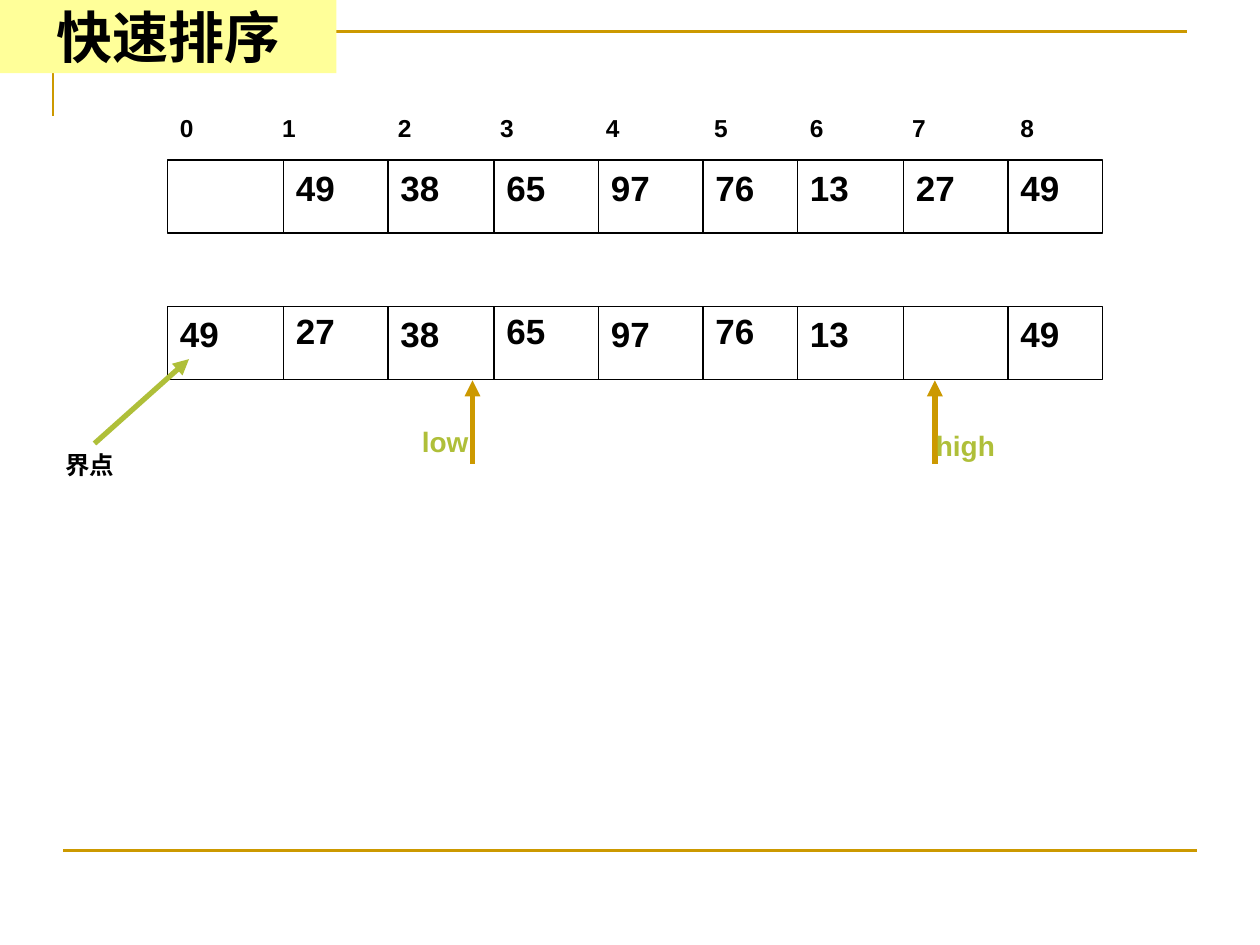
"""Build the quicksort slide with two array states and their pointers."""
from dataclasses import dataclass

from lxml.etree import SubElement
from pptx import Presentation
from pptx.dml.color import RGBColor
from pptx.enum.shapes import MSO_CONNECTOR as Link, MSO_SHAPE as Shape
from pptx.enum.text import MSO_ANCHOR as Anchor, MSO_AUTO_SIZE as Fit, PP_ALIGN as Align
from pptx.oxml.ns import qn
from pptx.util import Inches, Pt

BLACK = RGBColor(0x00, 0x00, 0x00)
WHITE = RGBColor(0xFF, 0xFF, 0xFF)
GOLD = RGBColor(0xCC, 0x99, 0x00)
GREEN = RGBColor(0xAF, 0xBF, 0x39)
CREAM = RGBColor(0xFF, 0xFF, 0x99)

EDGES = [1.33, 2.25, 3.08, 3.92, 4.75, 5.58, 6.33, 7.17, 8]
WIDTH, HEIGHT = 7.42, 0.58
STOPS = [0.81, 1.73, 2.54, 3.38, 4.24, 5, 5.81, 6.67]


@dataclass
class Row:
    top: float
    cells: list[str]
    raised: tuple[int, ...] = ()


@dataclass
class Mark:
    name: str
    x: float
    left: float
    top: float


ROWS = [
    Row(2.43, ["49", "27", "38", "65", "97", "76", "13", "", "49"], (1, 3, 5)),
    Row(1.27, ["", "49", "38", "65", "97", "76", "13", "27", "49"]),
]
MARKS = [Mark("high", 7.42, 7.33, 3.35), Mark("low", 3.75, 3.25, 3.32)]


def add_line(shapes, start: tuple, end: tuple, color: RGBColor,
             width: float, arrow: bool = False) -> None:
    ends = [Inches(n) for n in (*start, *end)]
    link = shapes.add_connector(Link.STRAIGHT, *ends)
    link.line.color.rgb = color
    link.line.width = Pt(width)
    if arrow:
        SubElement(link.line._ln, qn("a:tailEnd"), type="triangle")
    SubElement(link._element.spPr, qn("a:effectLst"))


def add_text(shapes, text: str, left: float, top: float, width: float,
             height: float, size: int, color: RGBColor = BLACK,
             stops: tuple | list = ()) -> None:
    box = shapes.add_textbox(*[Inches(n) for n in (left, top, width, height)])
    frame = box.text_frame
    frame.word_wrap = True
    para = frame.paragraphs[0]
    para.text = text
    if stops:
        tabs = SubElement(para._p.get_or_add_pPr(), qn("a:tabLst"))
        for stop in stops:
            SubElement(tabs, qn("a:tab"), pos=str(Inches(stop)), algn="l")
    set_font(para, "Arial", size, color)


def set_font(para, name: str, size: int, color: RGBColor) -> None:
    font = para.font
    font.name, font.size, font.bold = name, Pt(size), True
    font.color.rgb = color


def add_row(shapes, row: Row) -> None:
    group = shapes.add_group_shape().shapes
    area = [Inches(n) for n in (EDGES[0], row.top, WIDTH, HEIGHT)]
    frame = group.add_shape(Shape.RECTANGLE, *area)
    frame.shadow.inherit = False
    frame.fill.solid()
    frame.fill.fore_color.rgb = WHITE
    frame.line.color.rgb = BLACK
    frame.line.width = Pt(0.75)
    for x in EDGES[1:]:
        add_line(group, (x, row.top), (x, row.top + HEIGHT), BLACK, 0.75)


def add_cells(shapes, row: Row) -> None:
    for i, (x, text) in enumerate(zip(EDGES, row.cells)):
        if text:
            top = row.top - (0.02 if i in row.raised else 0)
            add_text(shapes, text, x, top, 0.67, 0.44, 20)


def add_mark(shapes, mark: Mark) -> None:
    group = shapes.add_group_shape().shapes
    add_line(group, (mark.x, 3.68), (mark.x, 3.02), GOLD, 3, True)
    add_text(group, mark.name, mark.left, mark.top, 0.92, 0.37, 16, GREEN)


def add_frame(shapes) -> None:
    pen = shapes.build_freeform(Inches(0.42), Inches(0.92))
    points = [(Inches(0.42), Inches(0.25)), (Inches(9.42), Inches(0.25))]
    pen.add_line_segments(points, close=False)
    corner = pen.convert_to_shape()
    corner.shadow.inherit = False
    corner.fill.background()
    corner.line.color.rgb = GOLD
    corner.line.width = Pt(1.5)
    add_line(shapes, (0.5, 6.75), (9.5, 6.75), GOLD, 1.5)


def set_title(shapes, text: str) -> None:
    title = shapes.title
    title.left, title.top = Inches(0), Inches(0)
    title.width, title.height = Inches(2.67), Inches(HEIGHT)
    title.fill.solid()
    title.fill.fore_color.rgb = CREAM
    frame = title.text_frame
    frame.text = text
    frame.auto_size = Fit.NONE
    frame.vertical_anchor = Anchor.MIDDLE
    para = frame.paragraphs[0]
    para.alignment = Align.CENTER
    set_font(para, "Times New Roman", 32, BLACK)
    shapes._spTree.append(title._element)


def main() -> None:
    deck = Presentation()
    deck.slide_width, deck.slide_height = Inches(10), Inches(7.5)
    shapes = deck.slides.add_slide(deck.slide_layouts[5]).shapes
    add_frame(shapes)
    for row in ROWS:
        add_row(shapes, row)
    index = "\t".join(str(i) for i in range(len(EDGES)))
    add_text(shapes, index, EDGES[0], 0.85, WIDTH, 0.34, 14, stops=STOPS)
    for row in ROWS:
        add_cells(shapes, row)
    for mark in MARKS:
        add_mark(shapes, mark)
    add_text(shapes, "界点", 0.42, 3.52, 0.83, 0.34, 14)
    add_line(shapes, (0.75, 3.52), (1.5, 2.85), GREEN, 3, True)
    set_title(shapes, "快速排序")
    deck.save("out.pptx")


if __name__ == "__main__":
    main()
